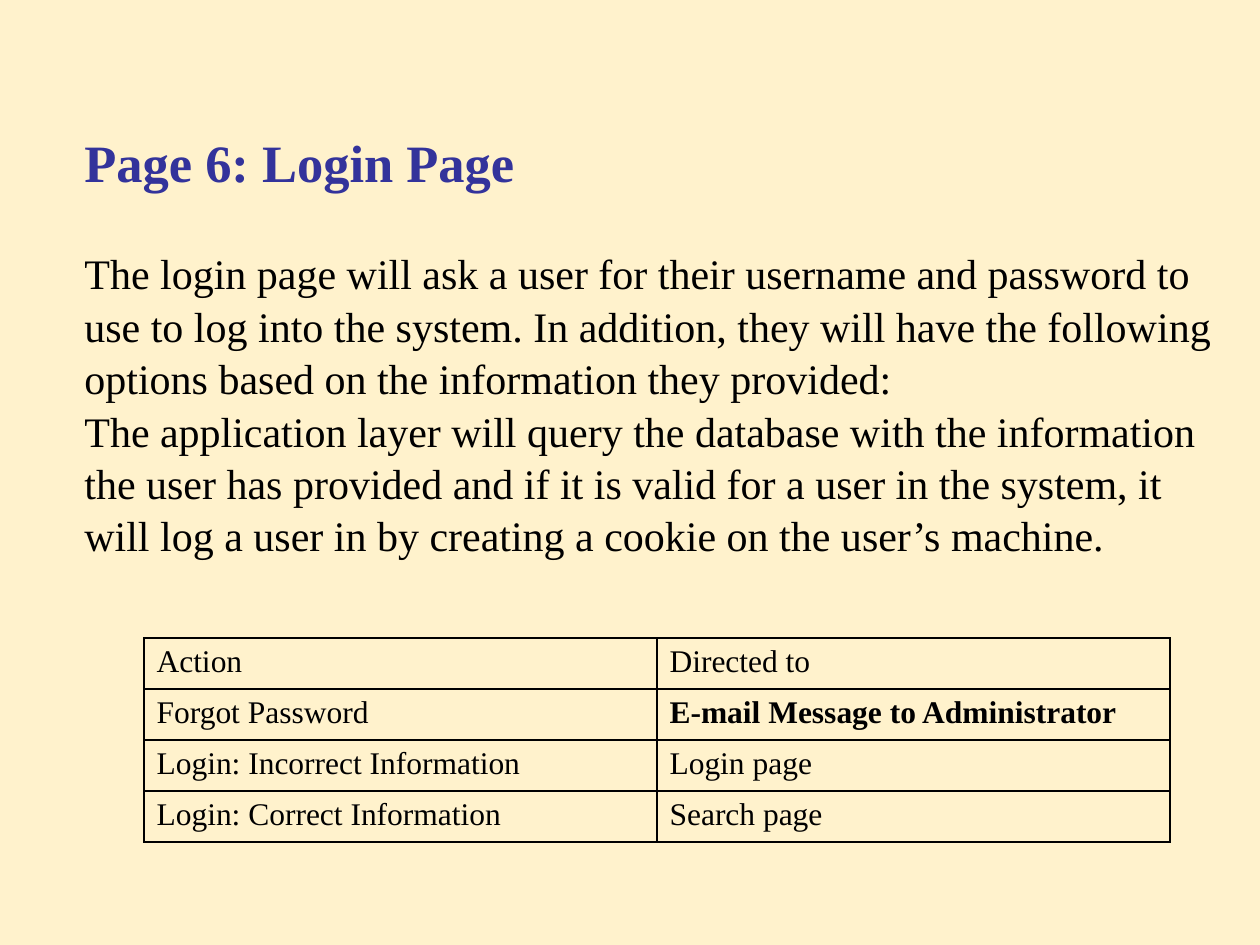
from lxml import etree
from pptx import Presentation
from pptx.dml.color import RGBColor
from pptx.enum.text import MSO_ANCHOR
from pptx.oxml.ns import qn
from pptx.util import Pt

TOP = MSO_ANCHOR.TOP
BLANK_LAYOUT = 6
EMU_PER_PX = 914400 / 126
FONT = "Times New Roman"
COLOURS = {"background": "FFF2CC", "heading": "33339B", "text": "000000"}
BORDER_SIDES = ("lnL", "lnR", "lnT", "lnB")

HEADING = "Page 6: Login Page"
DESCRIPTION = (
    "The login page will ask a user for their username and password to use "
    "to log into the system. In addition, they will have the following "
    "options based on the information they provided:",
    "The application layer will query the database with the information the "
    "user has provided and if it is valid for a user in the system, it will "
    "log a user in by creating a cookie on the user’s machine.",
)
ACTIONS = (
    ("Action", "Directed to"),
    ("Forgot Password", "E-mail Message to Administrator"),
    ("Login: Incorrect Information", "Login page"),
    ("Login: Correct Information", "Search page"),
)
EMPHASIS = "E-mail Message to Administrator"


def px(length):
    return round(length * EMU_PER_PX)


def set_attributes(target, values):
    for name, value in values.items():
        setattr(target, name, value)


def write(paragraph, text, size, colour="text", bold=False):
    run = paragraph.add_run()
    run.text = text
    set_attributes(run.font, {"name": FONT, "size": Pt(size), "bold": bold})
    run.font.color.rgb = RGBColor.from_string(COLOURS[colour])


def add_description(slide, left, top, width, height):
    box = slide.shapes.add_textbox(px(left), px(top), px(width), px(height))
    frame = box.text_frame
    set_attributes(frame, {"word_wrap": True, "vertical_anchor": TOP,
                           "margin_top": px(10)})
    heading = frame.paragraphs[0]
    heading.line_spacing = 1.04
    write(heading, HEADING, 30, "heading", True)
    for text, gap in zip(DESCRIPTION, (30, 0)):
        paragraph = frame.add_paragraph()
        set_attributes(paragraph, {"line_spacing": 1.04, "space_before": Pt(gap)})
        write(paragraph, text, 24)


def add_borders(cell):
    properties = cell._tc.get_or_add_tcPr()
    for position, side in enumerate(BORDER_SIDES):
        line = etree.Element(qn(f"a:{side}"), w=str(Pt(1)))
        fill = etree.SubElement(line, qn("a:solidFill"))
        etree.SubElement(fill, qn("a:srgbClr"), val=COLOURS["text"])
        properties.insert(position, line)


def add_actions(slide, left, top, width, height):
    rows, columns = len(ACTIONS), len(ACTIONS[0])
    table = slide.shapes.add_table(
        rows, columns, px(left), px(top), px(width), px(height)).table
    set_attributes(table, {"first_row": False, "horz_banding": False})
    for row, texts in enumerate(ACTIONS):
        for column, text in enumerate(texts):
            cell = table.cell(row, column)
            cell.fill.background()
            add_borders(cell)
            write(cell.text_frame.paragraphs[0], text, 18, bold=text == EMPHASIS)


def main():
    deck = Presentation()
    set_attributes(deck, {"slide_width": px(1260), "slide_height": px(945)})
    slide = deck.slides.add_slide(deck.slide_layouts[BLANK_LAYOUT])
    background = slide.background.fill
    background.solid()
    background.fore_color.rgb = RGBColor.from_string(COLOURS["background"])
    add_description(slide, 72, 118, 1168, 475)
    add_actions(slide, 144, 638, 1026, 204)
    deck.save("out.pptx")


if __name__ == "__main__":
    main()
